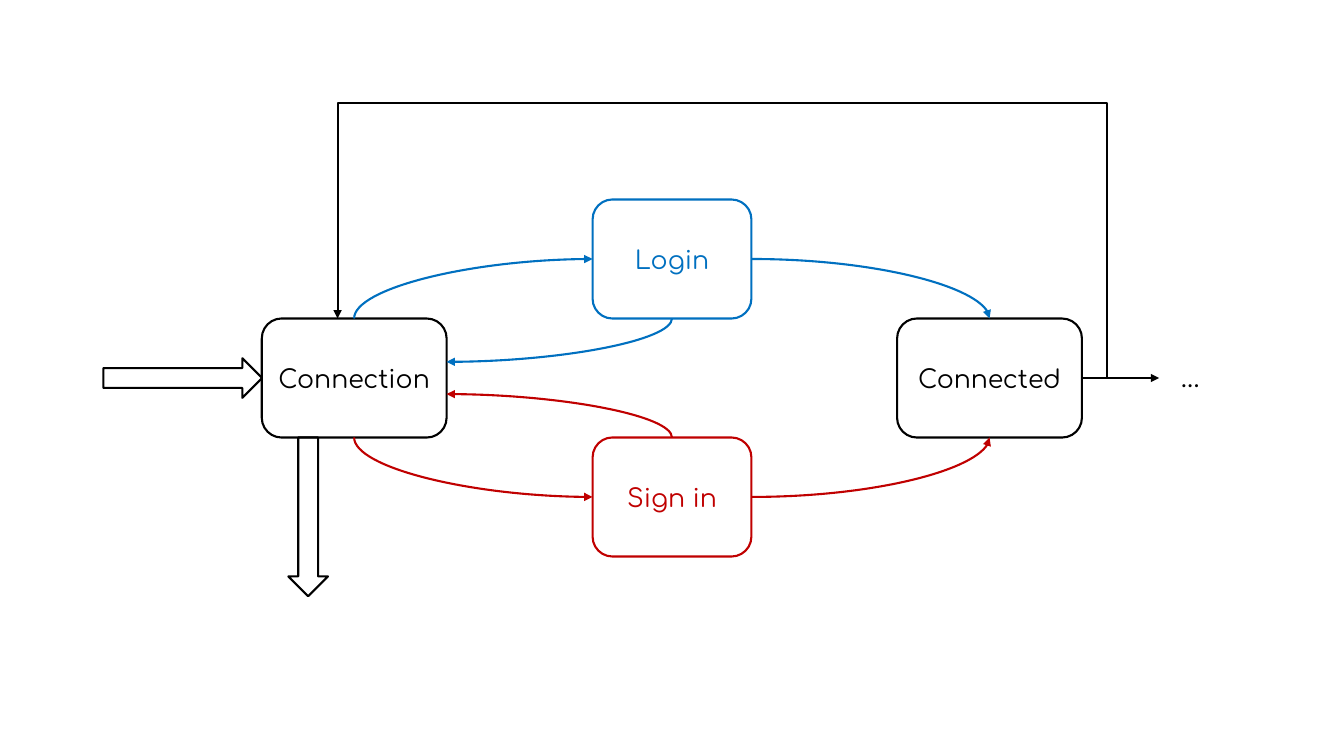
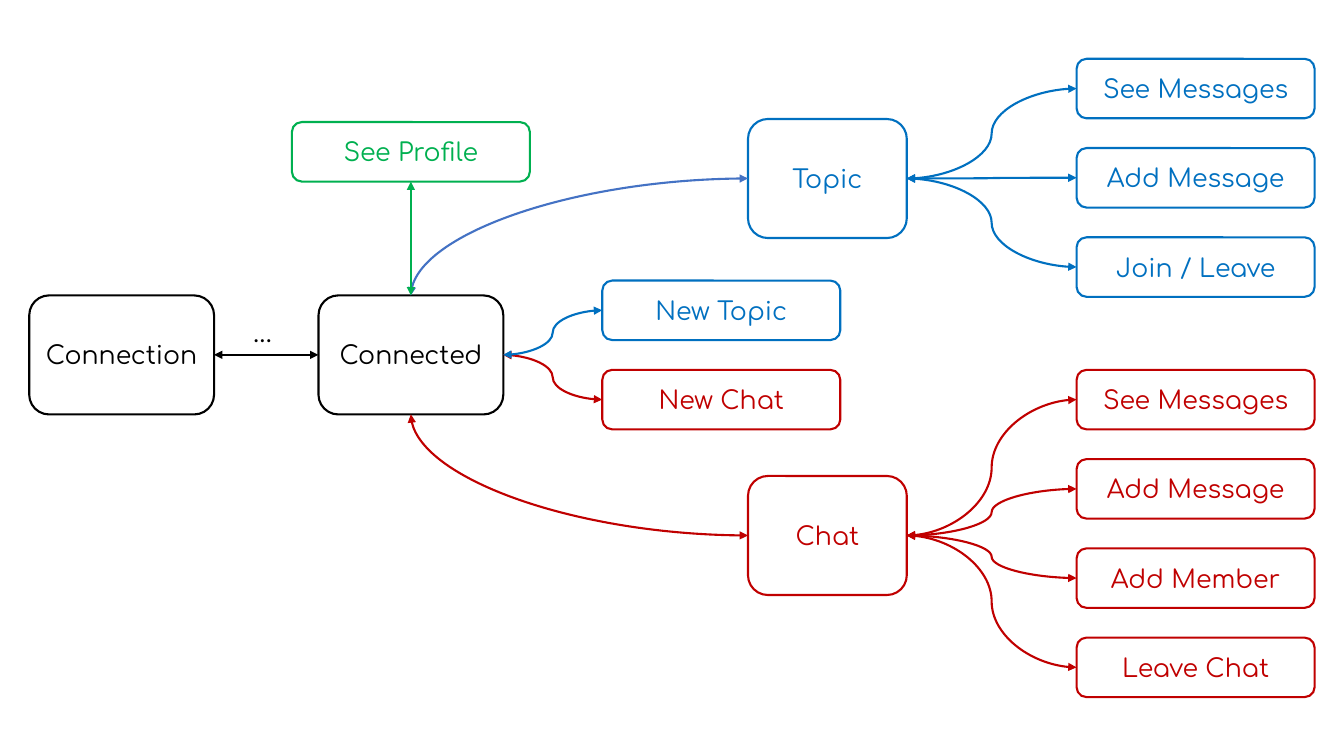
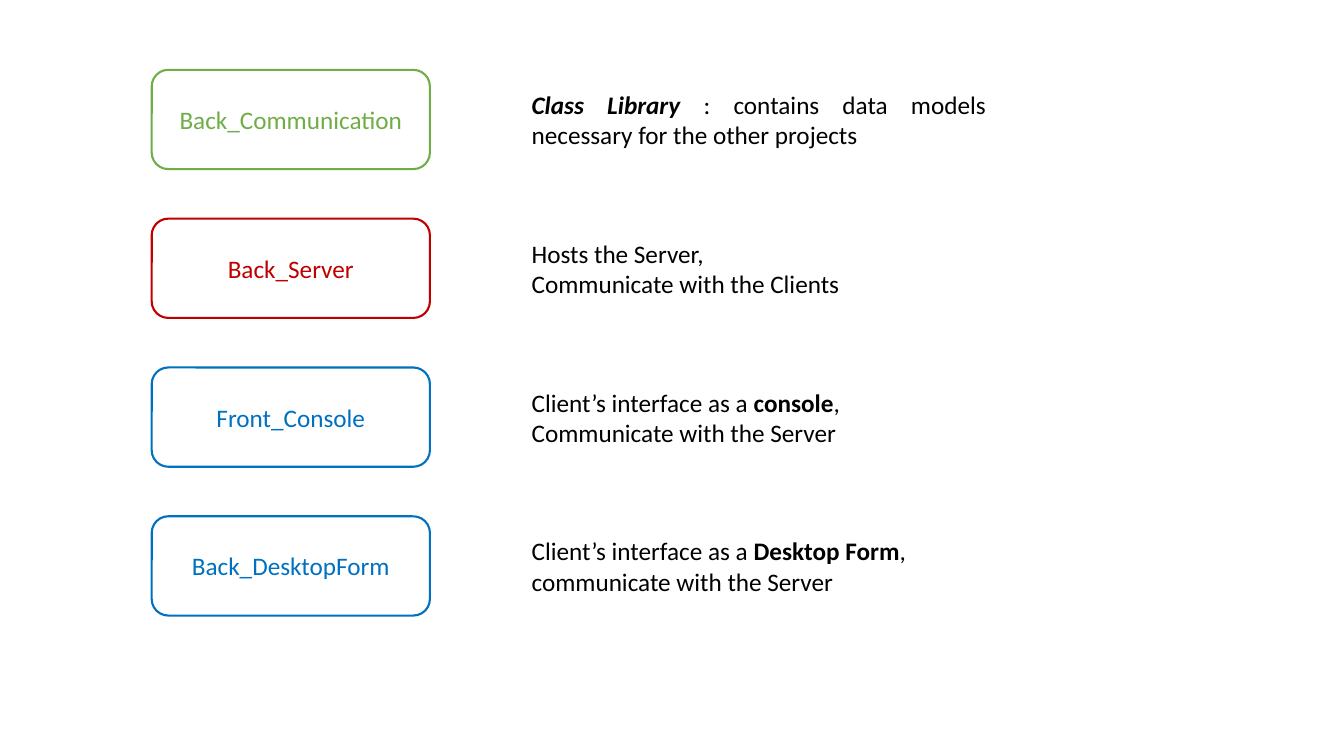
from dataclasses import dataclass

from lxml import etree
from pptx import Presentation
from pptx.dml import color
from pptx.enum import shapes, text
from pptx.oxml import ns
from pptx.util import Pt

TOP, LEFT, BOTTOM, RIGHT = range(4)
KINDS = shapes.MSO_SHAPE


@dataclass(frozen=True)
class Theme:
    """Colours, fonts and sizes shared by the slides."""
    black: str = "000000"
    blue: str = "0070C0"
    indigo: str = "4472C4"
    red: str = "C00000"
    green: str = "00B050"
    olive: str = "70AD47"
    flow_font: str = "Comfortaa"
    text_font: str = "Calibri"
    size: float = 18
    stroke: float = 1.5
    state_height: float = 85
    state_width: float = 132
    hub_width: float = 113.4
    leaf_width: float = 170
    leaf_height: float = 42.5
    leaf_pitch: float = 63.75


@dataclass(frozen=True)
class Box:
    """A region in points."""
    left: float
    top: float
    width: float
    height: float

    def inner(self, left, top, width, height):
        """Return a box placed relative to this one."""
        return Box(self.left + left, self.top + top, width, height)

    def point(self, x, y):
        """Return a point placed relative to this box."""
        return self.left + x, self.top + y

    def lengths(self):
        """Return the four lengths for python-pptx."""
        return [Pt(value) for value in (self.left, self.top, self.width, self.height)]


THEME = Theme()
PAGE = Box(0, 0, 960, 540)


def write(frame, paragraphs, align, font, tint=THEME.black):
    """Fill a frame with paragraphs of (text, bold, italic) runs."""
    frame.word_wrap = True
    for index, pieces in enumerate(paragraphs):
        paragraph = frame.paragraphs[0] if index == 0 else frame.add_paragraph()
        paragraph.alignment = align
        for words, bold, italic in pieces:
            run = paragraph.add_run()
            run.text = words
            run.font.name = font
            run.font.size = Pt(THEME.size)
            run.font.bold = bold
            run.font.italic = italic
            run.font.color.rgb = color.RGBColor.from_string(tint)


def stroke(line, tint):
    """Give a line the shared width and a colour."""
    line.width = Pt(THEME.stroke)
    line.color.rgb = color.RGBColor.from_string(tint)


def outline(slide, kind, box, tint=None):
    """Add an unfilled shape, outlined when a colour is given."""
    shape = slide.shapes.add_shape(kind, *box.lengths())
    shape.shadow.inherit = False
    shape.fill.background()
    if tint:
        stroke(shape.line, tint)
    else:
        shape.line.fill.background()
    shape.text_frame.vertical_anchor = text.MSO_ANCHOR.MIDDLE
    return shape


def labelled(slide, box, label, tint, kind=KINDS.FLOWCHART_ALTERNATE_PROCESS,
             font=THEME.flow_font):
    """Add an outlined box with a centred label."""
    shape = outline(slide, kind, box, tint)
    write(shape.text_frame, [[(label, False, False)]], text.PP_ALIGN.CENTER, font, tint)
    return shape


def state(slide, area, left, top, label, tint, width=THEME.state_width):
    """Add a large box of the flow."""
    return labelled(slide, area.inner(left, top, width, THEME.state_height), label, tint)


def leaf(slide, area, left, top, label, tint):
    """Add a small box of the flow."""
    place = area.inner(left, top, THEME.leaf_width, THEME.leaf_height)
    return labelled(slide, place, label, tint)


def ellipsis(slide, box):
    """Add the mark for omitted steps."""
    mark = slide.shapes.add_textbox(*box.lengths())
    write(mark.text_frame, [[("…", False, False)]], text.PP_ALIGN.CENTER, THEME.text_font)


def link(slide, start, end, tint, preset="line", heads=("tailEnd",), bends=()):
    """Connect two ends, each a point or a (shape, side) pair."""
    joined = [not isinstance(place[0], (int, float)) for place in (start, end)]
    spots = [(0, 0) if glued else place for place, glued in zip((start, end), joined)]
    connector = slide.shapes.add_connector(
        shapes.MSO_CONNECTOR.STRAIGHT, *(Pt(value) for spot in spots for value in spot))
    if joined[0]:
        connector.begin_connect(*start)
    if joined[1]:
        connector.end_connect(*end)
    stroke(connector.line, tint)
    properties = connector._element.spPr
    geometry = properties.find(ns.qn("a:prstGeom"))
    geometry.set("prst", preset)
    guides = geometry.find(ns.qn("a:avLst"))
    for index, bend in enumerate(bends, 1):
        etree.SubElement(guides, ns.qn("a:gd"), name=f"adj{index}", fmla=f"val {bend}")
    edge = properties.find(ns.qn("a:ln"))
    for head in sorted(heads):
        etree.SubElement(edge, ns.qn(f"a:{head}"), type="triangle")
    etree.SubElement(properties, ns.qn("a:effectLst"))


BOTH = ("headEnd", "tailEnd")
ARC, WAVE = "curvedConnector2", "curvedConnector3"


def sign_in_flow(slide, area):
    """Draw the way from connection to connected."""
    middle = 270
    top = middle - THEME.state_height / 2
    connection = state(slide, area, 187, top, "Connection", THEME.black)
    connected = state(slide, area, 640.8, top, "Connected", THEME.black)
    routes = [("Login", THEME.blue, -1, TOP, BOTTOM),
              ("Sign in", THEME.red, 1, BOTTOM, TOP)]
    for label, tint, way, outer, inner in routes:
        step = state(slide, area, 423.3, top + way * THEME.state_height, label, tint,
                     THEME.hub_width)
        back = area.point(187 + THEME.state_width, middle + way * 11.5)
        link(slide, (step, LEFT), (connection, outer), tint, ARC, ("headEnd",))
        link(slide, back, (step, inner), tint, ARC, ("headEnd",))
        link(slide, (step, RIGHT), (connected, outer), tint, ARC)

    outline(slide, KINDS.RIGHT_ARROW, area.inner(73.8, 255.9, 113.4, 28.3), THEME.black)
    leaving = outline(slide, KINDS.RIGHT_ARROW, area.inner(163.4, 355, 113.4, 28.3),
                      THEME.black)
    leaving.rotation = 90
    link(slide, (connected, RIGHT), area.point(241.2, top), THEME.black,
         "bentConnector5", bends=(-3400, 461600, 100000))
    link(slide, (connected, RIGHT), area.point(828, middle), THEME.black)
    ellipsis(slide, area.inner(816.5, 255.6, 67.7, 28.8))


def branch(slide, area, hub_top, leaf_top, label, actions, tint):
    """Draw a hub with its column of actions and return the hub."""
    hub = state(slide, area, 534.3, hub_top, label, tint, THEME.hub_width)
    for index, action in enumerate(actions):
        item = leaf(slide, area, 769, leaf_top + index * THEME.leaf_pitch, action, tint)
        link(slide, (item, LEFT), (hub, RIGHT), tint, WAVE, BOTH)
    return hub


def menu_flow(slide, area):
    """Draw what a connected user can do."""
    connection = state(slide, area, 20.9, 211, "Connection", THEME.black)
    connected = state(slide, area, 227.5, 211, "Connected", THEME.black)
    link(slide, (connected, LEFT), (connection, RIGHT), THEME.black, heads=BOTH)
    ellipsis(slide, area.inner(172, 223.2, 31, 28.8))

    topic = branch(slide, area, 85, 42, "Topic",
                   ["See Messages", "Add Message", "Join / Leave"], THEME.blue)
    chat = branch(slide, area, 340, 264.2, "Chat",
                  ["See Messages", "Add Message", "Add Member", "Leave Chat"], THEME.red)
    link(slide, (topic, LEFT), (connected, TOP), THEME.indigo, ARC, BOTH)
    link(slide, (chat, LEFT), (connected, BOTTOM), THEME.red, ARC, BOTH)

    for label, top, tint in [("New Chat", 264.2, THEME.red),
                             ("New Topic", 200.4, THEME.blue)]:
        creation = leaf(slide, area, 430.2, top, label, tint)
        link(slide, (creation, LEFT), (connected, RIGHT), tint, WAVE, BOTH)

    profile = leaf(slide, area, 208.5, 87.2, "See Profile", THEME.green)
    link(slide, (connected, TOP), (profile, BOTTOM), THEME.green, heads=BOTH)


def project_row(slide, row, project, tint, width, paragraphs):
    """Draw one project and its description."""
    labelled(slide, row.inner(0, 0, 198.7, row.height), project, tint,
             KINDS.ROUNDED_RECTANGLE, THEME.text_font)
    purpose = outline(slide, KINDS.ROUNDED_RECTANGLE,
                      row.inner(260.8, 0, width, row.height))
    write(purpose.text_frame, paragraphs, text.PP_ALIGN.JUSTIFY, THEME.text_font)


def project_list(slide, area):
    """Draw the projects one below the other."""
    projects = [
        ("Back_Communication", THEME.olive, 345.6,
         [[("Class Library ", True, True),
           (": contains data models necessary for the other projects", False, False)]]),
        ("Back_Server", THEME.red, 384.5,
         [[("Hosts the Server,", False, False)],
          [("Communicate with the Clients", False, False)]]),
        ("Front_Console", THEME.blue, 384.5,
         [[("Client’s interface as a ", False, False), ("console", True, False),
           (",", False, False)],
          [("Communicate with the Server", False, False)]]),
        ("Back_DesktopForm", THEME.blue, 384.5,
         [[("Client’s interface as a ", False, False), ("Desktop Form", True, False),
           (",", False, False)],
          [("communicate with the Server", False, False)]]),
    ]
    for index, project in enumerate(projects):
        row = area.inner(108.4, 49.9 + index * 106.3, 645.3, 70.9)
        project_row(slide, row, *project)


def main():
    """Build the presentation."""
    deck = Presentation()
    deck.slide_width, deck.slide_height = Pt(PAGE.width), Pt(PAGE.height)
    blank = deck.slide_layouts[6]
    for draw in (sign_in_flow, menu_flow, project_list):
        draw(deck.slides.add_slide(blank), PAGE)
    deck.save("out.pptx")


if __name__ == "__main__":
    main()
